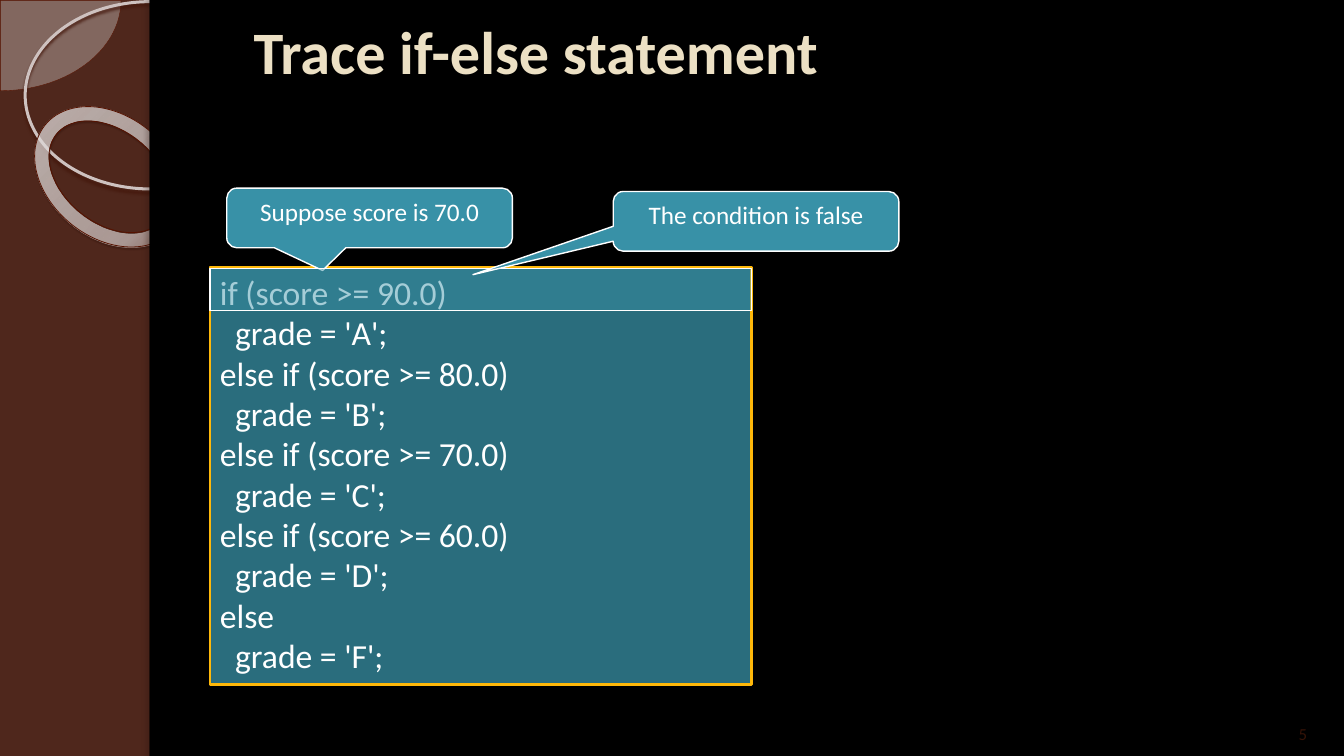
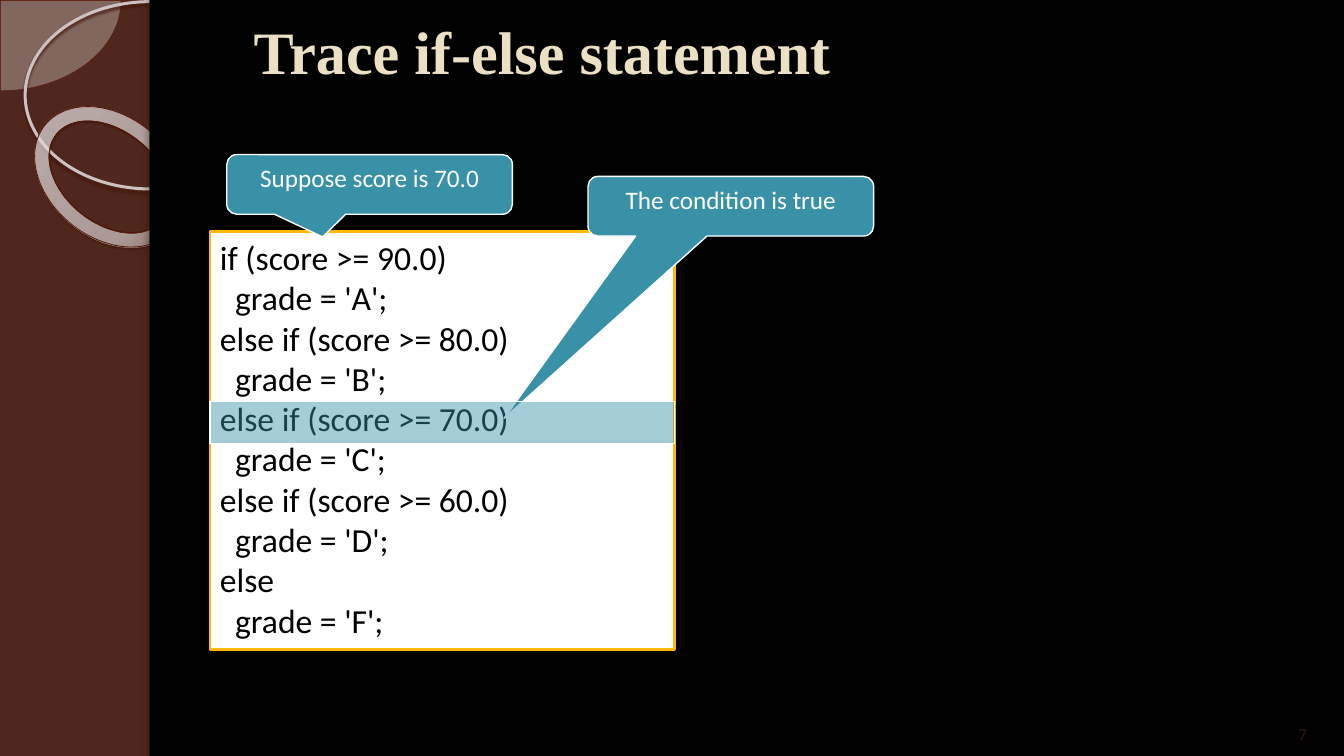
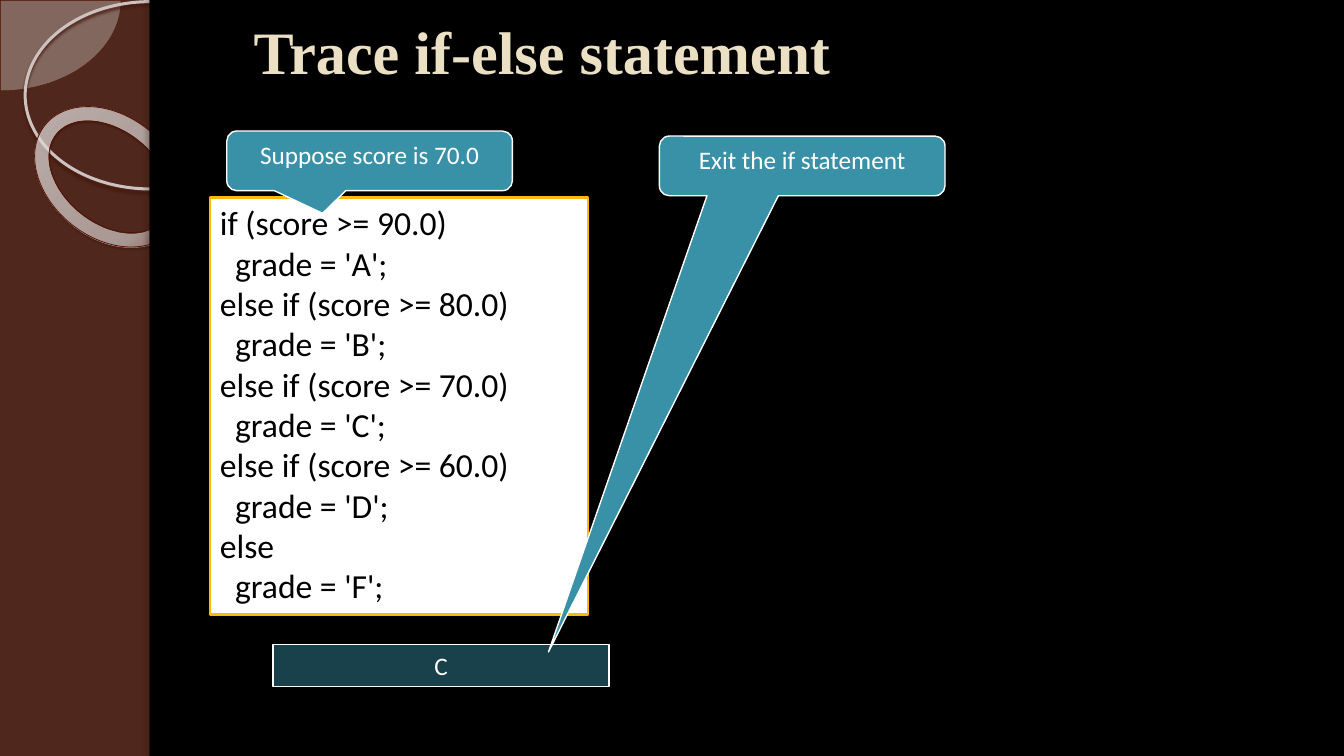
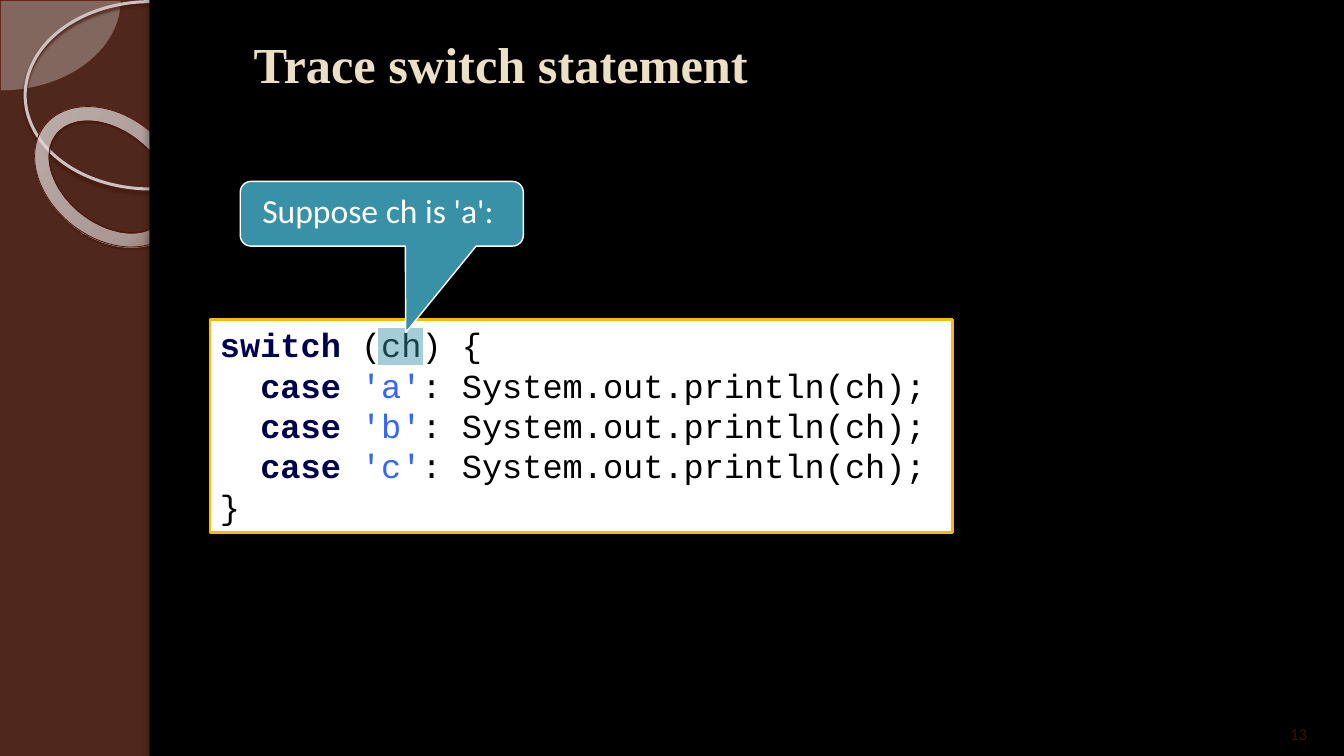
from dataclasses import dataclass

from lxml import etree
from pptx import Presentation
from pptx.dml.color import RGBColor
from pptx.enum.shapes import MSO_SHAPE
from pptx.enum.text import MSO_ANCHOR, MSO_AUTO_SIZE, PP_ALIGN
from pptx.oxml.ns import qn
from pptx.util import Inches, Pt

RECT, PIE, OVAL, DONUT = (MSO_SHAPE.RECTANGLE, MSO_SHAPE.PIE,
                          MSO_SHAPE.OVAL, MSO_SHAPE.DONUT)
CALLOUT = MSO_SHAPE.ROUNDED_RECTANGULAR_CALLOUT
LEFT, CENTER, RIGHT = PP_ALIGN.LEFT, PP_ALIGN.CENTER, PP_ALIGN.RIGHT
TOP, MIDDLE = MSO_ANCHOR.TOP, MSO_ANCHOR.MIDDLE

# Grid: 160 columns by 90 rows of square cells
COLUMNS, ROWS, CELL = 160, 90, Inches(1) / 12
TITLE_AREA = (29, 0, 105, 12)
CODE_LEFT, CODE_HEIGHT, CODE_ROW = 25, 49.7, 5
NOTE_WIDTH, NOTE_HEIGHT = 34, 7.1


@dataclass(frozen=True)
class Theme:
    brown: str = "4F271C"
    black: str = "000000"
    white: str = "FFFFFF"
    title: str = "ECE0C4"
    number: str = "361307"
    teal: str = "3891A7"
    dark_teal: str = "2A6D7D"
    gold: str = "FEB80A"
    keyword: str = "000050"
    literal: str = "3366FF"
    sans: str = "Calibri"
    serif: str = "Times New Roman"
    mono: str = "Courier New"
    title_size: int = 43
    small_title_size: int = 36
    code_size: int = 24
    note_size: int = 18
    number_size: int = 12


THEME = Theme()

GRADE_CODE = [
    "if (score >= 90.0)", "  grade = 'A';",
    "else if (score >= 80.0)", "  grade = 'B';",
    "else if (score >= 70.0)", "  grade = 'C';",
    "else if (score >= 60.0)", "  grade = 'D';",
    "else", "  grade = 'F';",
]


# Basic helpers
def cells(*values):
    return [round(value * CELL) for value in values]


def rgb(value):
    return RGBColor.from_string(value)


def add_child(parent, tag, **attributes):
    child = etree.SubElement(parent, qn(tag))
    for name, value in attributes.items():
        child.set(name, str(value))
    return child


def set_alpha(color_element, percent):
    add_child(color_element, "a:alpha", val=percent * 1000)


def draw(page, kind, area, fill=None, alpha=None, line=None, weight=1):
    shape = page.shapes.add_shape(kind, *cells(*area))
    shape.shadow.inherit = False
    if fill:
        shape.fill.solid()
        shape.fill.fore_color.rgb = rgb(fill)
    else:
        shape.fill.background()
    if alpha:
        set_alpha(shape.element.spPr.find(".//" + qn("a:srgbClr")), alpha)
    if line:
        shape.line.color.rgb = rgb(line)
        shape.line.width = Pt(weight)
    else:
        shape.line.fill.background()
    return shape


def add_shadow(shape, color, alpha, blur, distance, angle):
    effects = shape.element.spPr.find(qn("a:effectLst"))
    shadow = add_child(effects, "a:outerShdw", blurRad=Pt(blur), dist=Pt(distance),
                       dir=angle * 60000, algn="tl", rotWithShape=0)
    set_alpha(add_child(shadow, "a:srgbClr", val=color), alpha)


def fill_radial(shape, stops, bounds):
    properties = shape.element.spPr
    gradient = etree.Element(qn("a:gradFill"), rotWithShape="1")
    stop_list = add_child(gradient, "a:gsLst")
    for position, color, alpha in stops:
        stop = add_child(stop_list, "a:gs", pos=position * 1000)
        set_alpha(add_child(stop, "a:srgbClr", val=color), alpha)
    circle = add_child(gradient, "a:path", path="circle")
    sides = {side: share * 1000 for side, share in zip("ltrb", bounds)}
    add_child(circle, "a:fillToRect", **sides)
    properties.replace(properties.find(qn("a:noFill")), gradient)


def write(shape, lines, size, color, font=THEME.sans, bold=False,
          align=LEFT, anchor=TOP, wrap=True):
    """Each line is a string or a list of (text, color, bold) spans."""
    frame = shape.text_frame
    frame.word_wrap = wrap
    frame.auto_size = MSO_AUTO_SIZE.NONE
    frame.vertical_anchor = anchor
    for index, line in enumerate(lines):
        para = frame.add_paragraph() if index else frame.paragraphs[0]
        para.alignment = align
        spans = [(line, color, bold)] if isinstance(line, str) else line
        for text, span_color, span_bold in spans:
            span = para.add_run()
            span.text = text
            span.font.name = font
            span.font.size = Pt(size)
            span.font.bold = span_bold
            span.font.color.rgb = rgb(span_color)


# Shared background
def draw_rings(page):
    pie = draw(page, PIE, (-14.3, -10.7, 28.7, 21.5), "ECEAE9", 33, "591502", 0.25)
    pie.adjustments[0], pie.adjustments[1] = 0, 54.02
    ring = draw(page, OVAL, (3, 0.2, 29.8, 22.3), line="CEC2C0", weight=2.15)
    add_shadow(ring, "44170B", 85, 2, 2, 90)
    donut = draw(page, DONUT, (3.2, 13.8, 19.7, 14.5), line="561200", weight=0.58)
    donut.rotation = 38.6
    donut.adjustments[0] = 0.12
    fill_radial(donut, [(0, "F4F2F2", 70), (70, "F9F8F8", 55), (100, "5E1400", 60)],
                (-408, -50, 508, 150))
    add_shadow(donut, "260901", 35, 1, 1.2, 75)
    return [pie, ring, donut]


def draw_panel(page):
    left = 17.8
    panel = draw(page, RECT, (left, 0, COLUMNS - left, ROWS), THEME.black)
    edge = draw(page, RECT, (left, 0, 1.3, ROWS), THEME.black)
    add_shadow(edge, "29130D", 25, 3, 3, 180)
    return [panel, edge]


def dress_layout(layout, page):
    """Draw the shared parts on a page and move them to its layout."""
    layout.background.fill.solid()
    layout.background.fill.fore_color.rgb = rgb(THEME.brown)
    for shape in draw_rings(page) + draw_panel(page):
        layout.shapes.element.append(shape.element)


# Slide elements
def add_title(page, text, font=THEME.serif, size=THEME.title_size, area=TITLE_AREA):
    title = page.shapes.title
    title.left, title.top, title.width, title.height = cells(*area)
    write(title, [text], size, THEME.title, font, bold=True, anchor=MIDDLE)


def add_number(page, number):
    box = page.shapes.add_textbox(*cells(146, 85.3, 10.8, 4))
    write(box, [number], THEME.number_size, THEME.number, align=RIGHT, anchor=MIDDLE)


def add_code(page, lines, area, fill=THEME.white, color=THEME.black, font=THEME.sans):
    box = draw(page, RECT, area, fill, line=THEME.gold, weight=2)
    write(box, lines, THEME.code_size, color, font)


def add_grade_code(page, top, width, **style):
    add_code(page, GRADE_CODE, (CODE_LEFT, top, width, CODE_HEIGHT), **style)


def add_highlight(page, area):
    return draw(page, RECT, area, THEME.teal, 45, THEME.white)


def highlight_row(page, code_top, row, width):
    add_highlight(page, (CODE_LEFT, code_top + 0.2 + row * CODE_ROW, width, CODE_ROW))


def add_note(page, text, left, top, tip, width=NOTE_WIDTH, height=NOTE_HEIGHT,
             size=THEME.note_size):
    """A callout whose pointer ends at the grid point tip."""
    note = draw(page, CALLOUT, (left, top, width, height), THEME.teal, line=THEME.white)
    note.adjustments[0] = (tip[0] - left) / width - 0.5
    note.adjustments[1] = (tip[1] - top) / height - 0.5
    write(note, [text], size, THEME.white, align=CENTER)


def add_score_note(page, top):
    add_note(page, "Suppose score is 70.0", 27, top, (38.4, top + 9.8))


# Slides
def build_false_condition(page):
    top, width = 31.8, 64.5
    add_title(page, "Trace if-else statement", THEME.sans)
    add_grade_code(page, top, width, fill=THEME.dark_teal, color=THEME.white)
    add_score_note(page, 22.4)
    highlight_row(page, top, 0, width)
    add_note(page, "The condition is false", 73, 22.8, (56.3, 32.7))
    add_number(page, "5")


def build_true_condition(page):
    top, width = 27.6, 55.3
    add_title(page, "Trace if-else statement")
    add_grade_code(page, top, width)
    add_score_note(page, 18.4)
    add_note(page, "The condition is true", 70, 21, (60, 49.8))
    highlight_row(page, top, 4, width)
    add_number(page, "7")


def build_exit(page):
    add_title(page, "Trace if-else statement")
    add_grade_code(page, 23.5, 45)
    add_score_note(page, 15.6)
    result = add_highlight(page, (32.5, 76.7, 40, CODE_ROW))
    write(result, ["C"], THEME.note_size, THEME.white,
          align=CENTER, anchor=MIDDLE, wrap=False)
    add_note(page, "Exit the if statement", 78.5, 16.2, (65.3, 77.6))


def build_switch(page):
    add_title(page, "Trace switch statement", size=THEME.small_title_size,
              area=(29, 4.2, 105, 6.6))
    cases = [[("  ", THEME.black, False),
              ("case ", THEME.keyword, True),
              (f"'{letter}'", THEME.literal, False),
              (": System.out.println(ch);", THEME.black, False)] for letter in "abc"]
    head = [("switch", THEME.keyword, True), (" (ch) {", THEME.black, False)]
    add_code(page, [head, *cases, "}"], (CODE_LEFT, 38, 88.4, 25.4), font=THEME.mono)
    add_highlight(page, (44.9, 39, 5.5, 4.6))
    add_note(page, "Suppose ch is 'a': ", 28.6, 21.6, (48.3, 39.6),
             width=33.7, height=7.7, size=THEME.code_size)
    add_number(page, "13")


def main():
    deck = Presentation()
    deck.slide_width, deck.slide_height = cells(COLUMNS, ROWS)
    layout = deck.slide_layouts.get_by_name("Title Only")
    builders = [build_false_condition, build_true_condition, build_exit, build_switch]
    for index, build in enumerate(builders):
        page = deck.slides.add_slide(layout)
        if index == 0:
            dress_layout(layout, page)
        build(page)
    deck.save("out.pptx")


if __name__ == "__main__":
    main()
